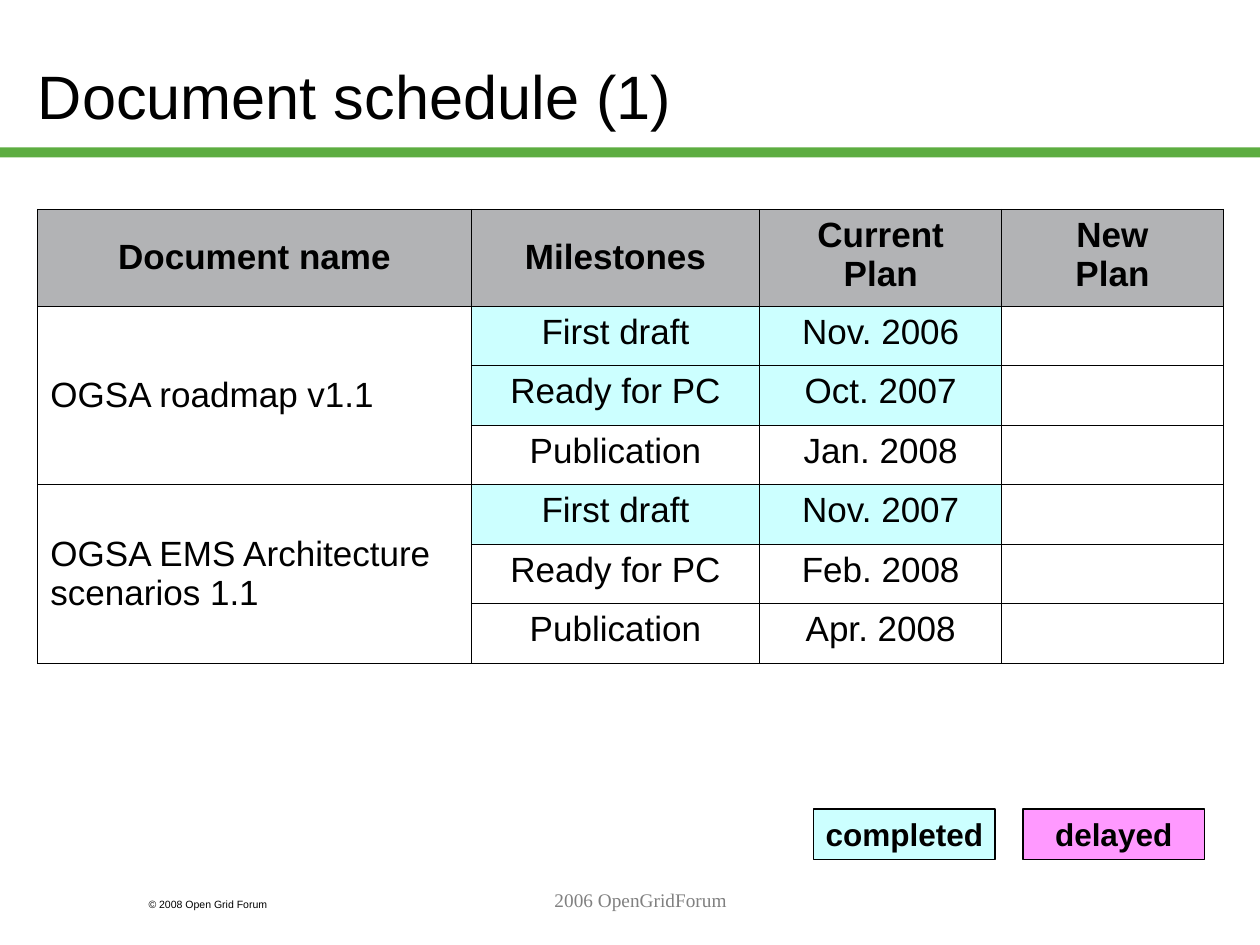
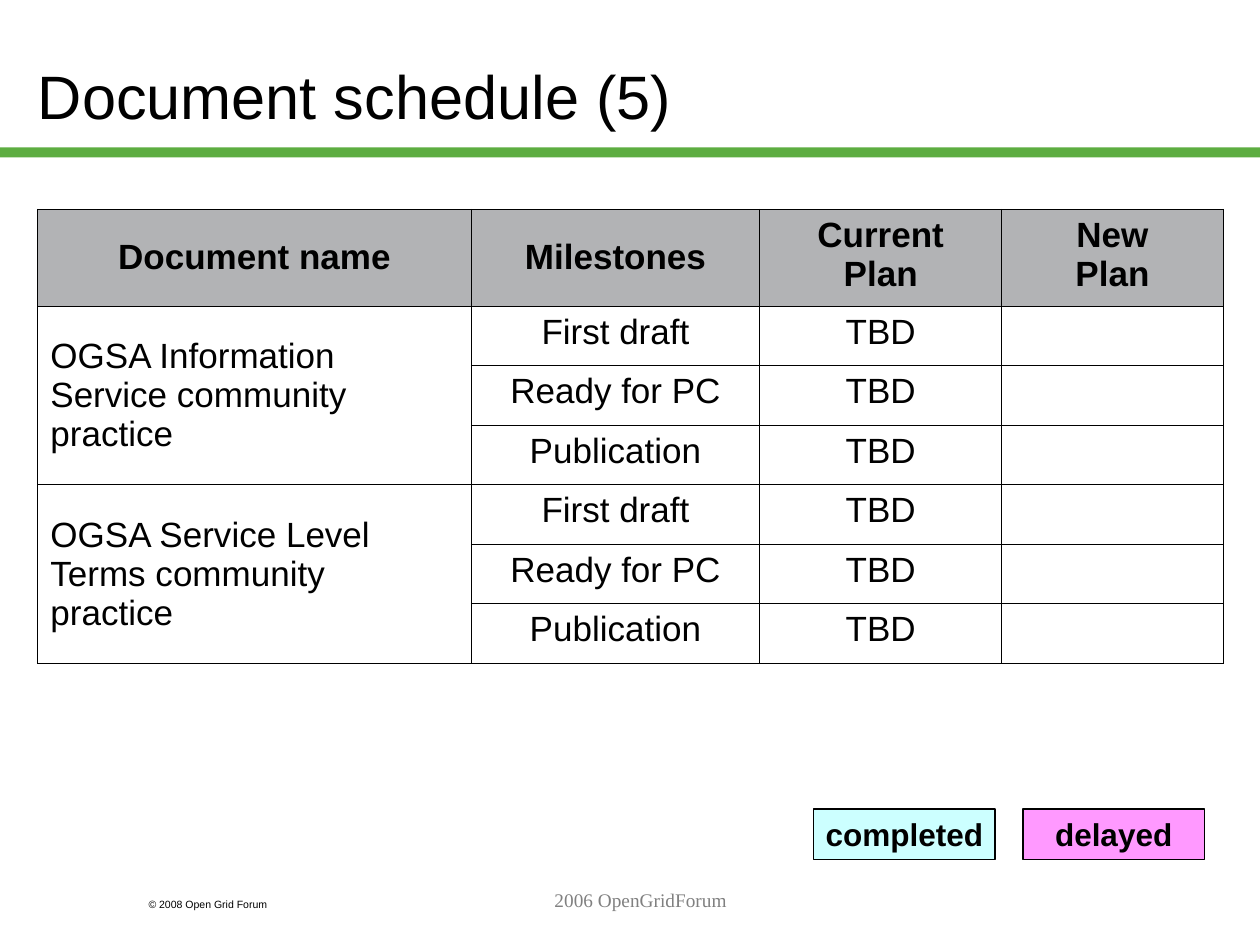
from dataclasses import dataclass

from lxml import etree
from pptx import Presentation
from pptx.dml.color import RGBColor
from pptx.enum.shapes import MSO_SHAPE
from pptx.enum.text import MSO_ANCHOR, MSO_AUTO_SIZE, PP_ALIGN
from pptx.oxml.ns import qn
from pptx.util import Pt

LEFT, CENTER = PP_ALIGN.LEFT, PP_ALIGN.CENTER
TOP, MIDDLE = MSO_ANCHOR.TOP, MSO_ANCHOR.MIDDLE
NO_FIT = MSO_AUTO_SIZE.NONE
RECT = MSO_SHAPE.RECTANGLE
TITLE_ONLY = 5


@dataclass(frozen=True)
class Theme:
    sans: str = "Arial"
    serif: str = "Times New Roman"
    ink: str = "000000"
    gray: str = "808080"
    green: str = "5DAD41"
    head: str = "B2B3B5"
    done: str = "CCFFFF"
    late: str = "FF99FF"
    title: float = 35
    cell: float = 20
    key: float = 18
    foot: float = 11
    legal: float = 6
    grid: float = 0.45
    edge: float = 0.75


THEME = Theme()

WIDTH, HEIGHT = 720, 540
TITLE_BOX = (14.4, 9.4, 612, 90)
BAND_BOX = (0, 84.2, WIDTH, 5.8)
TABLE_BOX = (21.6, 119.5, 677.5, 259.5)
KEY_BOX = (465, 462.3, 223.3, 28.8)
LEGAL_BOX = (77.8, 509.8, 108, 14.4)
FOOT_BOX = (156.2, 504, 419.8, 36)

COLS = (247.7, 164.9, 138.2, 126.7)
HEAD_ROW = 55.5
HEADS = ("Document name", "Milestones", "Current\nPlan", "New\nPlan")
STEPS = ("First draft", "Ready for PC", "Publication")
KEYS = (("completed", THEME.done), ("delayed", THEME.late))
KEY_WIDTH = 103.7

# Each document: name, planned date of each step, number of steps completed
PAGES = (
    ("Document schedule (1)", (
        ("OGSA roadmap v1.1", ("Nov. 2006", "Oct. 2007", "Jan. 2008"), 2),
        ("OGSA EMS Architecture\nscenarios 1.1",
         ("Nov. 2007", "Feb. 2008", "Apr. 2008"), 1),
    )),
    ("Document schedule (5)", (
        ("OGSA Information\nService community\npractice", ("TBD",) * 3, 0),
        ("OGSA Service Level\nTerms community\npractice", ("TBD",) * 3, 0),
    )),
)


def color(code):
    return RGBColor.from_string(code)


def write(frame, text, size, align=LEFT, bold=False, font=THEME.sans, ink=THEME.ink):
    frame.text = text
    for para in frame.paragraphs:
        para.alignment = align
        for run in para.runs:
            run.font.name = font
            run.font.size = Pt(size)
            run.font.bold = bold
            run.font.color.rgb = color(ink)


def add_rect(slide, box, fill, edge=None):
    shape = slide.shapes.add_shape(RECT, *map(Pt, box))
    shape.shadow.inherit = False
    shape.fill.solid()
    shape.fill.fore_color.rgb = color(fill)
    if edge:
        shape.line.color.rgb = color(THEME.ink)
        shape.line.width = Pt(edge)
    else:
        shape.line.fill.background()
    return shape


def add_note(slide, box, text, size, **style):
    frame = slide.shapes.add_textbox(*map(Pt, box)).text_frame
    frame.word_wrap = True
    write(frame, text, size, **style)


def add_frame(slide, title):
    """Place the title, the band below it and the two footer lines."""
    add_rect(slide, BAND_BOX, THEME.green)
    add_note(slide, LEGAL_BOX, "© 2008 Open Grid Forum", THEME.legal)
    add_note(slide, FOOT_BOX, "2006 OpenGridForum", THEME.foot,
             align=CENTER, font=THEME.serif, ink=THEME.gray)
    head = slide.shapes.title
    head.left, head.top, head.width, head.height = map(Pt, TITLE_BOX)
    frame = head.text_frame
    frame.auto_size = NO_FIT
    frame.vertical_anchor = MIDDLE
    write(frame, title, THEME.title)


def rule_cell(cell):
    """Draw a thin line on all four sides of a cell."""
    props = cell._tc.get_or_add_tcPr()
    for spot, side in enumerate(("lnL", "lnR", "lnT", "lnB")):
        line = etree.Element(qn(f"a:{side}"), w=str(int(Pt(THEME.grid))))
        fill = etree.SubElement(line, qn("a:solidFill"))
        etree.SubElement(fill, qn("a:srgbClr"), val=THEME.ink)
        props.insert(spot, line)


def fill_cell(cell, text, fill=None, align=CENTER, anchor=TOP, bold=False):
    write(cell.text_frame, text, THEME.cell, align, bold)
    cell.vertical_anchor = anchor
    if fill:
        cell.fill.solid()
        cell.fill.fore_color.rgb = color(fill)


def add_plan(slide, box, docs):
    """Build the table with one merged name cell per document."""
    count = 1 + len(docs) * len(STEPS)
    table = slide.shapes.add_table(count, len(COLS), *map(Pt, box)).table
    table.first_row = table.horz_banding = False
    for col, width in zip(table.columns, COLS):
        col.width = Pt(width)
    for row in table.rows:
        row.height = Pt((box[3] - HEAD_ROW) / (count - 1))
    table.rows[0].height = Pt(HEAD_ROW)
    for cell in table.iter_cells():
        cell.fill.background()
        rule_cell(cell)

    for col, text in enumerate(HEADS):
        anchor = TOP if "\n" in text else MIDDLE
        fill_cell(table.cell(0, col), text, THEME.head, anchor=anchor, bold=True)
    for place, (name, dates, done) in enumerate(docs):
        first = 1 + place * len(STEPS)
        label = table.cell(first, 0)
        label.merge(table.cell(first + len(STEPS) - 1, 0))
        fill_cell(label, name, align=LEFT, anchor=MIDDLE)
        for step, pair in enumerate(zip(STEPS, dates)):
            fill = THEME.done if step < done else None
            for col, text in enumerate(pair, 1):
                fill_cell(table.cell(first + step, col), text, fill)


def add_keys(slide, box):
    left, top, width, height = box
    pitch = (width - KEY_WIDTH) / (len(KEYS) - 1)
    for place, (text, fill) in enumerate(KEYS):
        spot = (left + place * pitch, top, KEY_WIDTH, height)
        frame = add_rect(slide, spot, fill, THEME.edge).text_frame
        frame.word_wrap = False
        frame.vertical_anchor = MIDDLE
        write(frame, text, THEME.key, CENTER, bold=True)


def main():
    deck = Presentation()
    deck.slide_width, deck.slide_height = Pt(WIDTH), Pt(HEIGHT)
    for title, docs in PAGES:
        slide = deck.slides.add_slide(deck.slide_layouts[TITLE_ONLY])
        add_frame(slide, title)
        add_plan(slide, TABLE_BOX, docs)
        add_keys(slide, KEY_BOX)
    deck.save("out.pptx")


if __name__ == "__main__":
    main()
